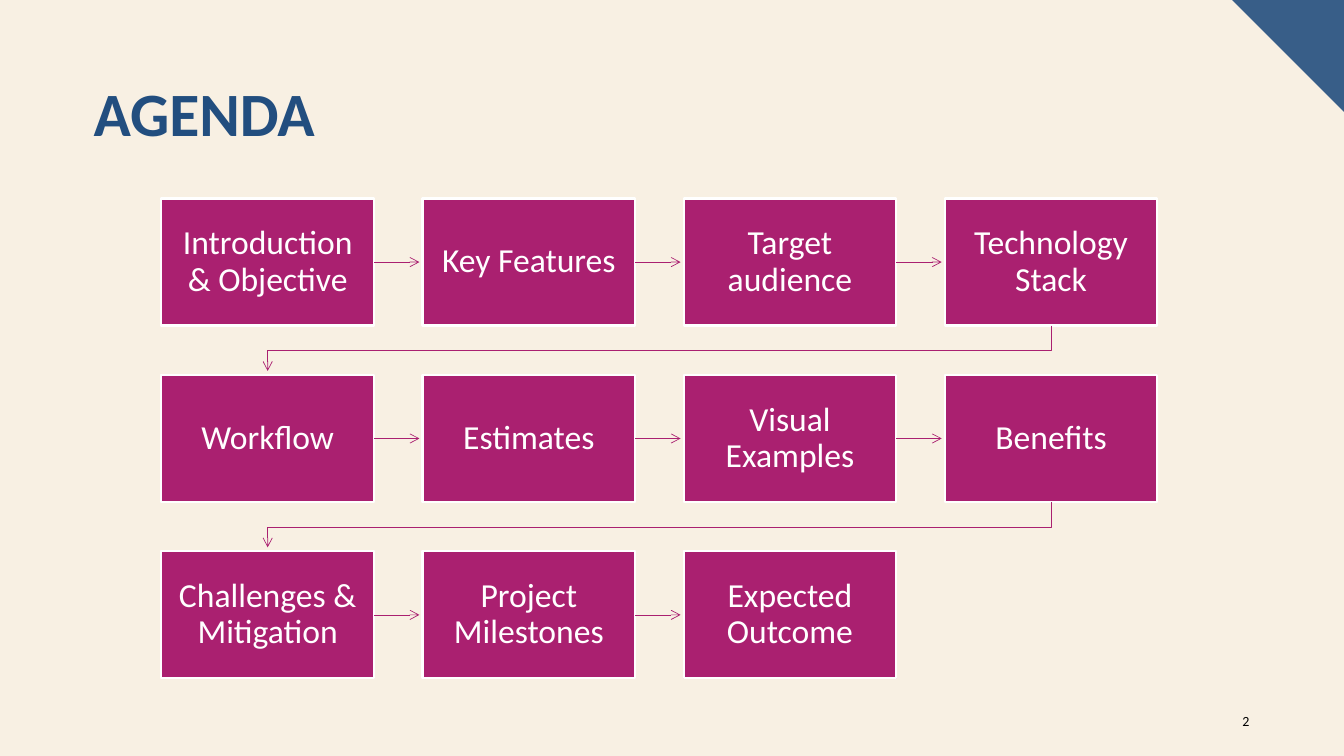
from dataclasses import dataclass

from lxml import etree
from pptx import Presentation
from pptx.dml.color import RGBColor
from pptx.enum.shapes import MSO_CONNECTOR, MSO_SHAPE
from pptx.enum.text import MSO_ANCHOR, PP_ALIGN
from pptx.oxml.ns import qn
from pptx.util import Inches, Pt


@dataclass(frozen=True)
class Theme:
    font: str = "Calibri"
    background: str = "F8F0E3"
    corner: str = "385E88"
    title: str = "224E7F"
    step: str = "AA2070"
    white: str = "FFFFFF"
    black: str = "000000"
    title_size: int = 44
    step_size: int = 24
    number_size: int = 10
    border_width: float = 1.5
    arrow_width: float = 0.5


THEME = Theme()
SLIDE_WIDTH, SLIDE_HEIGHT = 13.33, 7.5
COLUMNS = 4
STEP_WIDTH, STEP_HEIGHT = 2.11, 1.26
ARROW_LENGTH, TURN_DEPTH = 0.45, 0.25
STEPS = [
    "Introduction & Objective", "Key Features", "Target audience", "Technology Stack",
    "Workflow", "Estimates", "Visual Examples", "Benefits",
    "Challenges & Mitigation", "Project Milestones", "Expected Outcome",
]


def color(value):
    return RGBColor.from_string(value)


def write_text(shape, text, size, ink, align=PP_ALIGN.LEFT, bold=False, spacing=1.0):
    frame = shape.text_frame
    frame.word_wrap = True
    frame.text = text
    para = frame.paragraphs[0]
    para.alignment = align
    para.line_spacing = spacing
    span = para.runs[0]
    span.font.name = THEME.font
    span.font.size = Pt(size)
    span.font.bold = bold
    span.font.color.rgb = color(ink)


def add_corner(page, left, top, size):
    corner = page.shapes.add_shape(
        MSO_SHAPE.RIGHT_TRIANGLE, Inches(left), Inches(top), Inches(size), Inches(size))
    corner.rotation = 180
    corner.shadow.inherit = False
    corner.fill.solid()
    corner.fill.fore_color.rgb = color(THEME.corner)
    corner.line.fill.background()


def add_title(page, left, top, width, height):
    box = page.shapes.add_textbox(Inches(left), Inches(top), Inches(width), Inches(height))
    write_text(box, "AGENDA", THEME.title_size, THEME.title, bold=True, spacing=0.9)


def add_page_number(page, left, top, width, height):
    box = page.shapes.add_textbox(Inches(left), Inches(top), Inches(width), Inches(height))
    box.text_frame.vertical_anchor = MSO_ANCHOR.MIDDLE
    write_text(box, "2", THEME.number_size, THEME.black, PP_ALIGN.RIGHT)


def add_step(page, text, left, top):
    box = page.shapes.add_shape(
        MSO_SHAPE.RECTANGLE, Inches(left), Inches(top), Inches(STEP_WIDTH), Inches(STEP_HEIGHT))
    box.shadow.inherit = False
    box.fill.solid()
    box.fill.fore_color.rgb = color(THEME.step)
    box.line.color.rgb = color(THEME.white)
    box.line.width = Pt(THEME.border_width)
    frame = box.text_frame
    frame.margin_left = frame.margin_right = Inches(0.1)
    frame.margin_top = frame.margin_bottom = Inches(0.11)
    frame.vertical_anchor = MSO_ANCHOR.MIDDLE
    write_text(box, text, THEME.step_size, THEME.white, PP_ALIGN.CENTER, spacing=0.9)
    return box


def style_arrow(arrow):
    arrow.line.color.rgb = color(THEME.step)
    arrow.line.width = Pt(THEME.arrow_width)
    etree.SubElement(arrow.line._get_or_add_ln(), qn("a:tailEnd"), type="arrow")


def add_next_arrow(page, box):
    start = box.left + box.width
    middle = box.top + box.height // 2
    arrow = page.shapes.add_connector(
        MSO_CONNECTOR.STRAIGHT, start, middle, start + Inches(ARROW_LENGTH), middle)
    arrow.begin_connect(box, 3)
    style_arrow(arrow)
    etree.SubElement(arrow._element.spPr, qn("a:effectLst"))


def add_row_turn(page, box, first_left):
    start = box.left + box.width // 2
    end = Inches(first_left + STEP_WIDTH / 2)
    top = box.top + box.height
    turn = top + Inches(TURN_DEPTH)
    builder = page.shapes.build_freeform(start, top)
    builder.add_line_segments(
        [(start, turn), (end, turn), (end, top + Inches(ARROW_LENGTH))], close=False)
    arrow = builder.convert_to_shape()
    arrow.shadow.inherit = False
    arrow.fill.background()
    style_arrow(arrow)


def add_agenda(page, left, top, width, height):
    rows = -(-len(STEPS) // COLUMNS)
    column_pitch = (width - STEP_WIDTH) / (COLUMNS - 1)
    row_pitch = (height - STEP_HEIGHT) / (rows - 1)
    for index, text in enumerate(STEPS):
        row, column = divmod(index, COLUMNS)
        box = add_step(page, text, left + column * column_pitch, top + row * row_pitch)
        if index == len(STEPS) - 1:
            continue
        if column == COLUMNS - 1:
            add_row_turn(page, box, left)
        else:
            add_next_arrow(page, box)


def build_agenda_slide(deck):
    page = deck.slides.add_slide(deck.slide_layouts[6])
    page.background.fill.solid()
    page.background.fill.fore_color.rgb = color(THEME.background)
    add_corner(page, SLIDE_WIDTH - 1.11, 0, 1.11)
    add_title(page, 0.83, 0.78, 11.67, 1.45)
    add_page_number(page, 11.99, 6.95, 0.5, 0.4)
    add_agenda(page, 1.6, 1.97, 9.88, 4.76)


def main():
    deck = Presentation()
    deck.slide_width = Inches(SLIDE_WIDTH)
    deck.slide_height = Inches(SLIDE_HEIGHT)
    build_agenda_slide(deck)
    deck.save("out.pptx")


if __name__ == "__main__":
    main()
